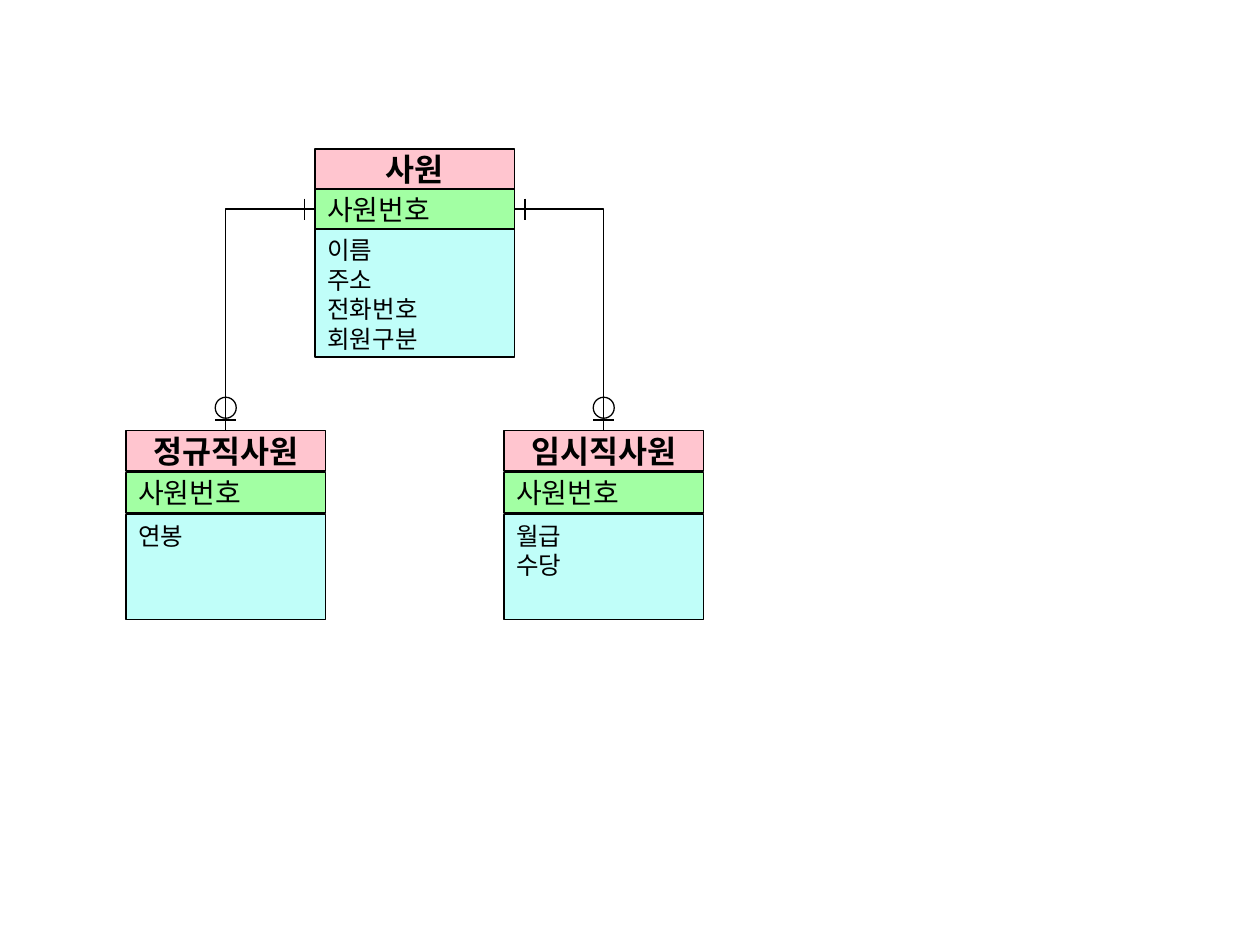
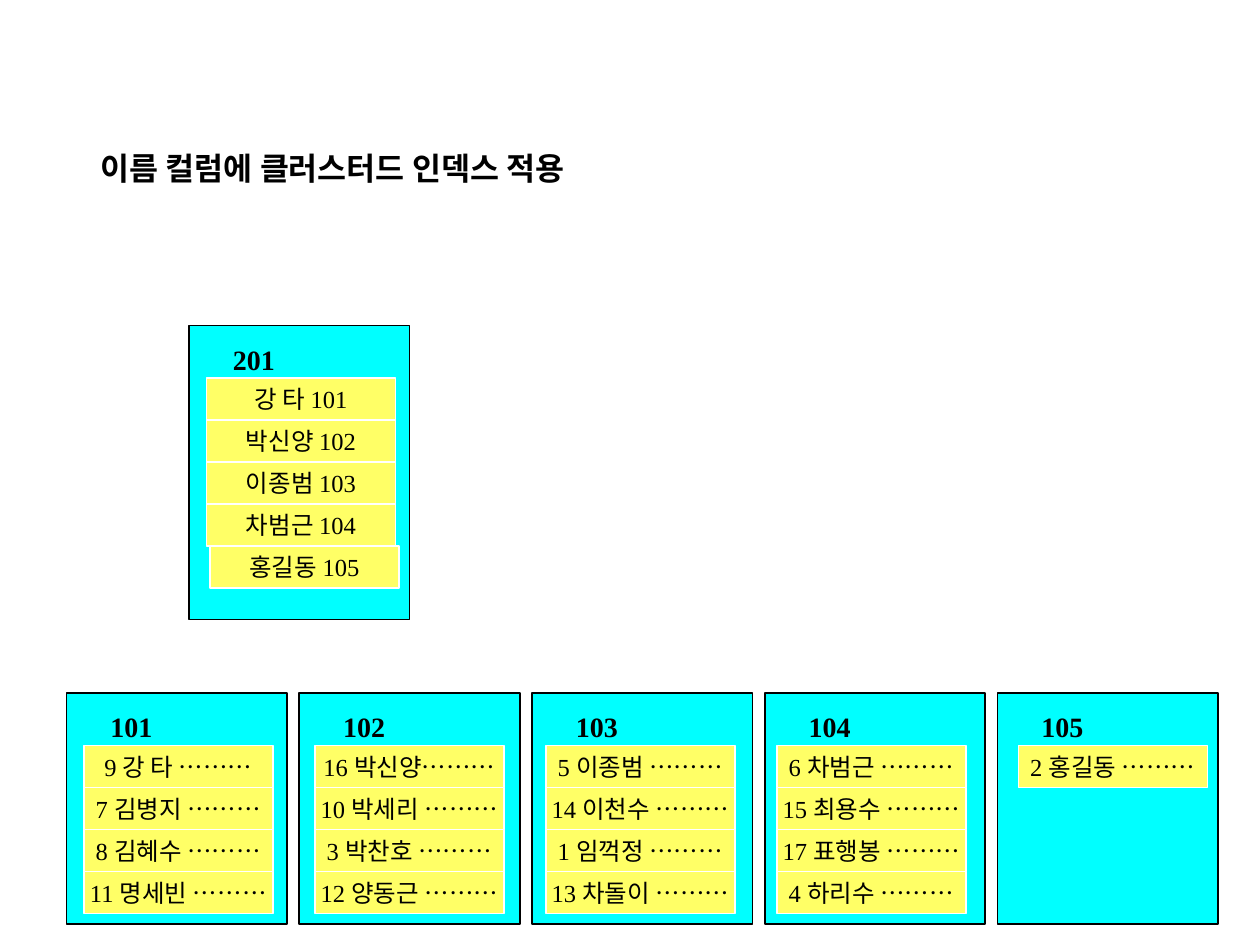
from dataclasses import dataclass

from pptx import Presentation
from pptx.dml.color import RGBColor
from pptx.enum.shapes import MSO_CONNECTOR, MSO_SHAPE
from pptx.enum.text import MSO_ANCHOR, MSO_AUTO_SIZE, PP_ALIGN
from pptx.oxml.ns import qn
from pptx.util import Pt


@dataclass(frozen=True)
class Theme:
    ink: str = "000000"
    white: str = "FFFFFF"
    entity_head: str = "FFC5CF"
    entity_key: str = "A2FFA3"
    entity_body: str = "C0FEF9"
    page: str = "00FFFF"
    record: str = "FFFF66"
    diagram_font: str = "Arial"
    index_font: str = "Times New Roman"
    title_size: int = 18
    key_size: int = 16
    text_size: int = 14
    border: float = 1
    thin: float = 0.75


T = Theme()
ENTITY_W, ENTITY_ROW_H = 114, 23
TICK = 6
PAGE_W = 126
RECORD_W, RECORD_H = 108, 24
LEAF_TOP, LEAF_H = 396, 132

LEAF_PAGES = [
    ("101", 48, ["9 강 타 ………", "7 김병지 ………", "8 김혜수 ………", "11 명세빈 ………"]),
    ("102", 180, ["16 박신양………", "10 박세리 ………", "3 박찬호 ………", "12 양동근 ………"]),
    ("103", 312, ["5 이종범 ………", "14 이천수 ………", "1 임꺽정 ………", "13 차돌이 ………"]),
    ("104", 444, ["6 차범근 ………", "15 최용수 ………", "17 표행봉 ………", "4 하리수 ………"]),
    ("105", 582, ["2 홍길동 ………"]),
]
ROOT_RECORDS = ["강 타 101", "박신양 102", "이종범 103", "차범근 104"]


def rgb(color):
    return RGBColor.from_string(color)


def write(shape, lines, font, size, bold=False, align=PP_ALIGN.LEFT, anchor=MSO_ANCHOR.MIDDLE):
    tf = shape.text_frame
    tf.word_wrap = False
    tf.vertical_anchor = anchor
    tf.text = "\n".join(lines)
    for p in tf.paragraphs:
        p.alignment = align
        p.font.name = font
        p.font.size = Pt(size)
        p.font.bold = bold
        p.font.color.rgb = rgb(T.ink)


def add_box(s, x, y, w, h, fill=None, line=T.ink, width=T.border, kind=MSO_SHAPE.RECTANGLE):
    sp = s.shapes.add_shape(kind, Pt(x), Pt(y), Pt(w), Pt(h))
    sp.shadow.inherit = False
    if fill:
        sp.fill.solid()
        sp.fill.fore_color.rgb = rgb(fill)
    else:
        sp.fill.background()
    sp.line.color.rgb = rgb(line)
    sp.line.width = Pt(width)
    return sp


def add_label(s, x, y, w, h, text, size):
    tb = s.shapes.add_textbox(Pt(x), Pt(y), Pt(w), Pt(h))
    write(tb, [text], T.index_font, size, bold=True, anchor=MSO_ANCHOR.TOP)
    tb.text_frame.auto_size = MSO_AUTO_SIZE.SHAPE_TO_FIT_TEXT


def add_line(s, x1, y1, x2, y2, kind=MSO_CONNECTOR.STRAIGHT):
    c = s.shapes.add_connector(kind, Pt(x1), Pt(y1), Pt(x2), Pt(y2))
    c.line.color.rgb = rgb(T.ink)
    c.line.width = Pt(T.thin)
    spPr = c._element.spPr
    spPr.append(spPr.makeelement(qn("a:effectLst"), {}))
    if kind == MSO_CONNECTOR.ELBOW:
        spPr.find(qn("a:prstGeom")).set("prst", "bentConnector2")


def add_entity(s, x, y, row_pitch, body_h, name, key, attributes):
    head = add_box(s, x, y, ENTITY_W, ENTITY_ROW_H, T.entity_head)
    write(head, [name], T.diagram_font, T.title_size, bold=True, align=PP_ALIGN.CENTER)
    key_row = add_box(s, x, y + row_pitch, ENTITY_W, ENTITY_ROW_H, T.entity_key)
    write(key_row, [key], T.diagram_font, T.key_size)
    body = add_box(s, x, y + 2 * row_pitch, ENTITY_W, body_h, T.entity_body)
    write(body, attributes, T.diagram_font, T.text_size, anchor=MSO_ANCHOR.TOP)


def add_subtype_link(s, edge_x, edge_y, child_x, child_y):
    """Elbow from a parent's side to a child's top, marked one to zero-or-one."""
    add_line(s, edge_x, edge_y, child_x, child_y, MSO_CONNECTOR.ELBOW)
    tick_x = edge_x + (TICK if child_x > edge_x else -TICK)
    add_line(s, tick_x, edge_y - TICK, tick_x, edge_y + TICK)
    bar_y = child_y - TICK
    add_line(s, child_x - TICK, bar_y, child_x + TICK, bar_y)
    add_box(s, child_x - TICK, bar_y - 13, 2 * TICK, 2 * TICK,
            width=T.thin, kind=MSO_SHAPE.OVAL)


def add_record(s, x, y, text):
    sp = add_box(s, x, y, RECORD_W, RECORD_H, T.record, T.white)
    write(sp, [text], T.index_font, T.text_size, align=PP_ALIGN.CENTER)


def add_index_page(s, x, y, h, number, record_x, records):
    add_box(s, x, y, PAGE_W, h, T.page)
    add_label(s, x + 18, y + 6, 42, 27, number, T.key_size)
    for i, record in enumerate(records):
        add_record(s, record_x, y + 30 + i * RECORD_H, record)


def build_entity_slide(s):
    parent_x, parent_y = 180, 85
    child_y = 246
    add_entity(s, parent_x, parent_y, ENTITY_ROW_H, 73, "사원", "사원번호",
               ["이름", "주소", "전화번호", "회원구분"])
    children = [
        (72, parent_x, "정규직사원", ["연봉"]),
        (288, parent_x + ENTITY_W, "임시직사원", ["월급", "수당"]),
    ]
    for x, parent_edge, name, attributes in children:
        add_entity(s, x, child_y, 24, 60, name, "사원번호", attributes)
        add_subtype_link(s, parent_edge, parent_y + 1.5 * ENTITY_ROW_H,
                         x + ENTITY_W / 2, child_y)


def build_index_slide(s):
    add_label(s, 50.5, 81.5, 290, 29, "이름 컬럼에 클러스터드 인덱스 적용", T.title_size)
    for i, (number, record_x, records) in enumerate(LEAF_PAGES):
        add_index_page(s, 38 + 133 * i, LEAF_TOP, LEAF_H, number, record_x, records)
    add_index_page(s, 108, 186, 168, "201", 118, ROOT_RECORDS)
    add_record(s, 120, 312, "홍길동 105")


def main():
    prs = Presentation()
    prs.slide_width, prs.slide_height = Pt(720), Pt(540)
    blank = prs.slide_layouts[6]
    for build in (build_entity_slide, build_index_slide):
        build(prs.slides.add_slide(blank))
    prs.save("out.pptx")


if __name__ == "__main__":
    main()
